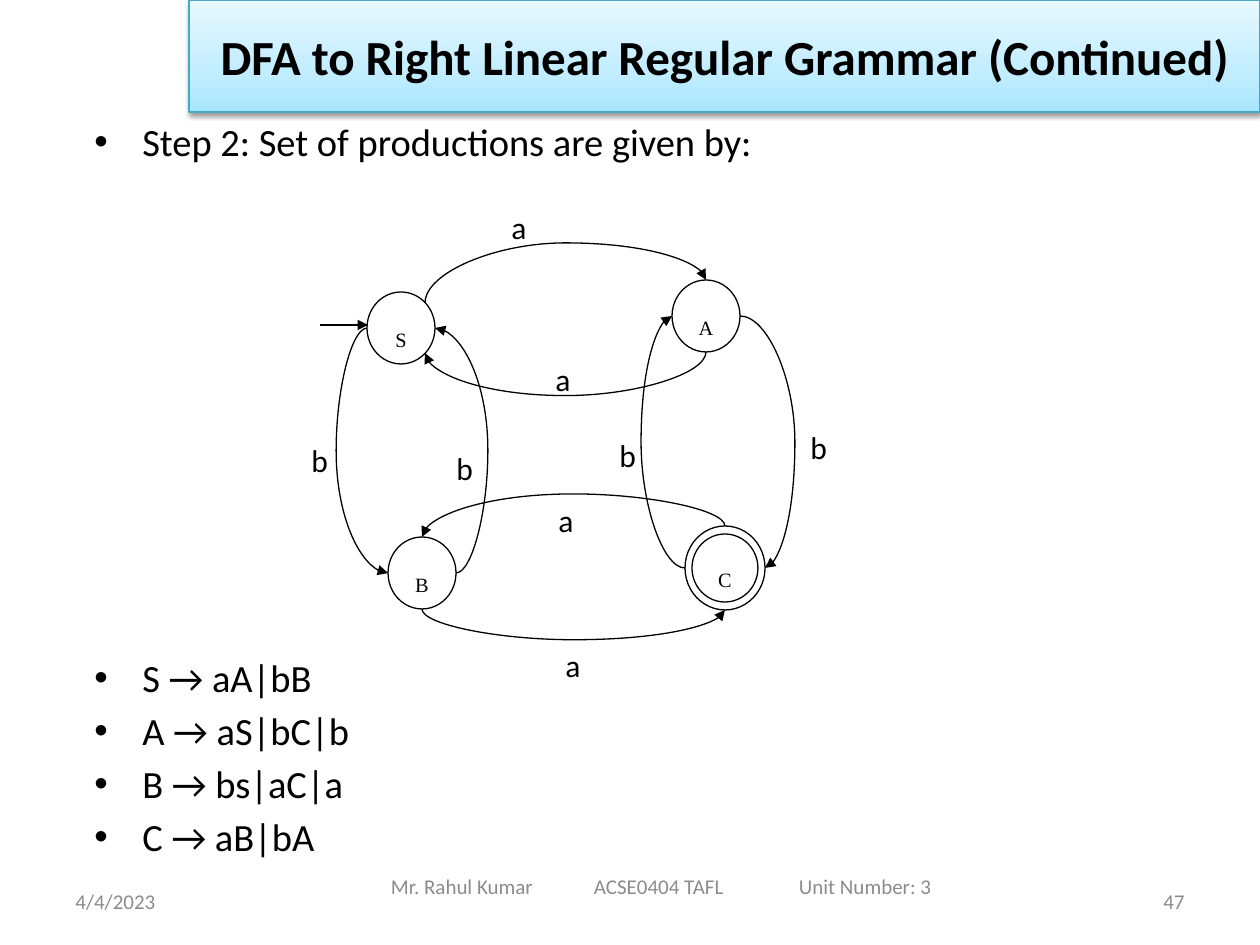
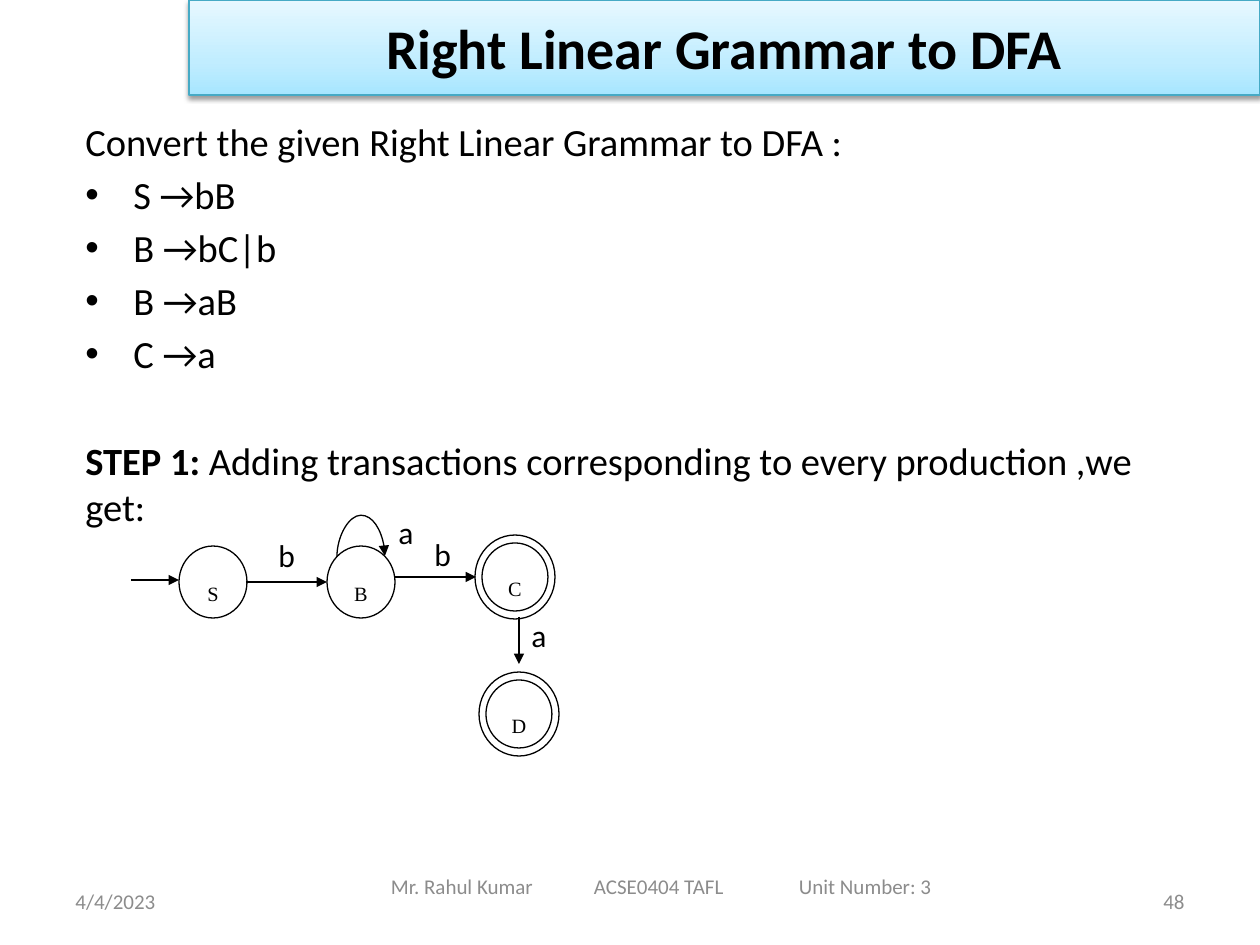
import math
from copy import deepcopy
from dataclasses import dataclass

from lxml import etree
from pptx import Presentation
from pptx import util as u
from pptx.dml.color import RGBColor
from pptx.enum import shapes, text
from pptx.oxml.ns import qn

# Content: diagram places are px; arcs are (source, site, target, site, bulge, turn),
# with sites counted counter-clockwise from the top in steps of 45 degrees.
DATE = "4/4/2023"
FOOTER = "Mr. Rahul Kumar\tACSE0404 TAFL\tUnit Number: 3"
FOOTER_TABS = (203, 408)

# Body lines are (bold lead, text, bulleted, space before in points).
GAP = 3.9
SLIDES = [
    dict(
        title="DFA to Right Linear Regular Grammar (Continued)",
        title_size=28, title_height=112, number=47, body_left=82,
        body=[
            ("", "Step 2: Set of productions are given by:", True, GAP),
            ("", "S → aA|bB", True, 280),
            ("", "A → aS|bC|b", True, GAP),
            ("", "B → bs|aC|a", True, GAP),
            ("", "C → aB|bA", True, GAP),
        ],
        states={"S": (401, 328), "A": (706, 316), "B": (422, 573), "C": (725, 568)},
        final="C",
        arcs=[
            ("S", 7, "A", 0, 243, 90), ("A", 4, "S", 5, 396, 90),
            ("C", 2, "A", 2, 641, 180), ("A", 6, "C", 6, 795, 0),
            ("S", 2, "B", 2, 336, 180), ("B", 6, "S", 6, 488, 0),
            ("B", 4, "C", 4, 640, 270), ("C", 0, "B", 0, 494, 270),
        ],
        arrows=[(320, 325, 368, 325)],
        labels=[
            ("a", 499, 202), ("a", 543, 354), ("b", 607, 430), ("b", 798, 422),
            ("b", 299, 435), ("b", 444, 443), ("a", 546, 495), ("a", 553, 640),
        ],
    ),
    dict(
        title="Right Linear Grammar to DFA",
        title_size=32, title_height=95, number=48, body_left=73,
        body=[
            ("", "Convert the given Right Linear Grammar to DFA :", False, GAP),
            ("", "S →bB", True, GAP),
            ("", "B →bC|b", True, GAP),
            ("", "B →aB", True, GAP),
            ("", "C →a", True, GAP),
            ("STEP 1:", " Adding transactions corresponding to every production ,we get:",
             False, 34.6),
        ],
        states={"S": (213, 582), "B": (361, 582), "C": (515, 577), "D": (519, 714)},
        final="CD",
        arcs=[("B", 1, "B", 7, 515, 90)],
        arrows=[
            (131, 580, 179, 580), (246, 582, 327, 582),
            (395, 577, 476, 577), (519, 617, 519, 664),
        ],
        labels=[("b", 266, 530), ("a", 386, 507), ("b", 422, 529), ("a", 519, 610)],
    ),
]


@dataclass(frozen=True)
class Theme:
    font: str = "Calibri"
    state_font: str = "Times New Roman"
    ink: str = "000000"
    muted: str = "8C8C8C"
    band_line: str = "46AAC5"
    band_stops: tuple = ((0, "A7E6FF"), (0.35, "C1EDFF"), (1, "E7F8FF"))
    body_size: int = 22
    state_size: int = 20
    label_size: int = 18
    footer_size: int = 12
    line_width: float = 0.75


THEME = Theme()
STATE, OUTER, INNER = (68, 72), (80, 84), (66, 68)
INDENT = 48
MIDDLE = text.MSO_ANCHOR.MIDDLE
CENTER, RIGHT = text.PP_ALIGN.CENTER, text.PP_ALIGN.RIGHT


def px(length):
    return u.Emu(round(length * 914400 / 126))


def add_xml(parent, tag, **attributes):
    return etree.SubElement(parent, qn(tag), {k: str(v) for k, v in attributes.items()})


def style(span, size, color=THEME.ink, font=THEME.font, bold=False):
    span.font.size, span.font.name, span.font.bold = u.Pt(size), font, bold
    span.font.color.rgb = RGBColor.from_string(color)


def write(shape, words, size, align=None, anchor=None, wrap=True, **look):
    frame = shape.text_frame
    frame.word_wrap = wrap
    frame.vertical_anchor = anchor
    para = frame.paragraphs[0]
    para.text = words
    para.alignment = align
    for span in para.runs:
        style(span, size, **look)
    return para


def outline(shape, color=THEME.ink):
    shape.line.color.rgb = RGBColor.from_string(color)
    shape.line.width = u.Pt(THEME.line_width)


def text_box(page, left, top, width, height):
    return page.shapes.add_textbox(px(left), px(top), px(width), px(height))


# Shared parts: title band, body text, footer
def add_title(page, words, size, height):
    band = page.shapes.add_shape(shapes.MSO_SHAPE.RECTANGLE,
                                 px(189), 0, px(1071), px(height))
    band.fill.gradient()
    band.fill.gradient_angle = 90
    stops = band._element.spPr.find(".//" + qn("a:gsLst"))
    stops.append(deepcopy(stops[0]))
    for stop, (position, color) in zip(band.fill.gradient_stops, THEME.band_stops):
        stop.position = position
        stop.color.rgb = RGBColor.from_string(color)
    outline(band, THEME.band_line)
    band.shadow.inherit = False
    effects = band._element.spPr.find(qn("a:effectLst"))
    shadow = add_xml(effects, "a:outerShdw", blurRad=u.Pt(3.1), dist=u.Pt(1.6),
                     dir=5400000, rotWithShape=0)
    add_xml(add_xml(shadow, "a:srgbClr", val=THEME.ink), "a:alpha", val=38000)
    write(band, words, size, CENTER, MIDDLE, bold=True)


def add_body(page, lines, left):
    frame = text_box(page, left, 112, 1134, 610).text_frame
    frame.word_wrap = True
    for index, (lead, words, bulleted, space) in enumerate(lines):
        para = frame.paragraphs[0] if index == 0 else frame.add_paragraph()
        para.space_before = u.Pt(space)
        for part, bold in ((lead, True), (words, False)):
            if part:
                span = para.add_run()
                span.text = part
                style(span, THEME.body_size, bold=bold)
        if bulleted:
            props = para._p.get_or_add_pPr()
            props.set("marL", str(px(INDENT)))
            props.set("indent", str(-px(INDENT)))
            add_xml(props, "a:buFont", typeface="Arial")
            add_xml(props, "a:buChar", char="•")


def add_footer(page, number):
    look = dict(size=THEME.footer_size, anchor=MIDDLE, color=THEME.muted)
    write(text_box(page, 63, 876, 294, 50), DATE, **look)
    course = text_box(page, 315, 861, 693, 50)
    course.text_frame.margin_left = px(76)
    para = write(course, FOOTER, **look)
    tabs = add_xml(para._p.get_or_add_pPr(), "a:tabLst")
    for stop in FOOTER_TABS:
        add_xml(tabs, "a:tab", pos=px(stop), algn="l")
    write(text_box(page, 903, 876, 294, 50), str(number), align=RIGHT, **look)


# Automaton parts: states, arrows, arcs
def add_circle(page, center, size):
    (x, y), (width, height) = center, size
    circle = page.shapes.add_shape(shapes.MSO_SHAPE.OVAL, px(x - width / 2),
                                   px(y - height / 2), px(width), px(height))
    circle.fill.background()
    circle.shadow.inherit = False
    outline(circle)
    return circle


def add_state(page, name, center, final):
    circle = add_circle(page, center, INNER if final else STATE)
    para = write(circle, name, THEME.state_size, CENTER, MIDDLE, wrap=False,
                 font=THEME.state_font)
    para.runs[0].font._element.set("baseline", "-25000")
    return add_circle(page, center, OUTER) if final else circle


def add_arrow(page, x1, y1, x2, y2, kind=shapes.MSO_CONNECTOR.STRAIGHT):
    arrow = page.shapes.add_connector(kind, px(x1), px(y1), px(x2), px(y2))
    outline(arrow)
    add_xml(arrow.line._get_or_add_ln(), "a:tailEnd", type="triangle")
    add_xml(arrow._element.spPr, "a:effectLst")
    return arrow


def site_point(center, size, site):
    angle = math.radians(45 * site)
    return (round(center[0] - size[0] / 2 * math.sin(angle)),
            round(center[1] - size[1] / 2 * math.cos(angle)))


def add_arc(page, start, end, bulge, turn, joints):
    (x1, y1), (x2, y2) = start, end
    if y1 == y2:
        y2 -= 1  # the bend is a ratio of this height
    upright = turn in (90, 270)
    first, last = (y1, y2) if upright else (x1, x2)
    bend = (bulge - first) / (last - first)

    # Turn the end points back about the middle, then rotate the connector
    mid_x, mid_y = (x1 + x2) / 2, (y1 + y2) / 2
    cos, sin = math.cos(math.radians(turn)), math.sin(math.radians(turn))
    dx = (x1 - mid_x) * cos + (y1 - mid_y) * sin
    dy = (y1 - mid_y) * cos - (x1 - mid_x) * sin
    arc = add_arrow(page, mid_x + dx, mid_y + dy, mid_x - dx, mid_y - dy,
                    shapes.MSO_CONNECTOR.CURVE)
    props = arc._element.spPr
    props.find(qn("a:xfrm")).set("rot", str(turn * 60000))
    add_xml(props.find(".//" + qn("a:avLst")), "a:gd", name="adj1",
            fmla=f"val {round(bend * 100000)}")
    links = arc._element.find(".//" + qn("p:cNvCxnSpPr"))
    for tag, (circle, site) in zip(("a:stCxn", "a:endCxn"), joints):
        add_xml(links, tag, id=circle.shape_id, idx=site)


def add_automaton(page, states, final, arcs, arrows, labels):
    circles = {name: add_state(page, name, center, name in final)
               for name, center in states.items()}

    def joint(name, site):
        return site_point(states[name], OUTER if name in final else STATE, site)

    for source, leave, target, enter, bulge, turn in arcs:
        add_arc(page, joint(source, leave), joint(target, enter), bulge, turn,
                ((circles[source], leave), (circles[target], enter)))
    for ends in arrows:
        add_arrow(page, *ends)
    for letter, left, top in labels:
        label = text_box(page, left, top, 41, 50)
        write(label, letter, THEME.label_size, wrap=False)
        label.text_frame.auto_size = text.MSO_AUTO_SIZE.SHAPE_TO_FIT_TEXT


def main():
    deck = Presentation()
    deck.slide_width, deck.slide_height = px(1260), px(945)
    for item in SLIDES:
        page = deck.slides.add_slide(deck.slide_layouts[6])
        add_body(page, item["body"], item["body_left"])
        add_footer(page, item["number"])
        add_title(page, item["title"], item["title_size"], item["title_height"])
        add_automaton(page, item["states"], item["final"], item["arcs"],
                      item["arrows"], item["labels"])
    deck.save("out.pptx")


if __name__ == "__main__":
    main()
